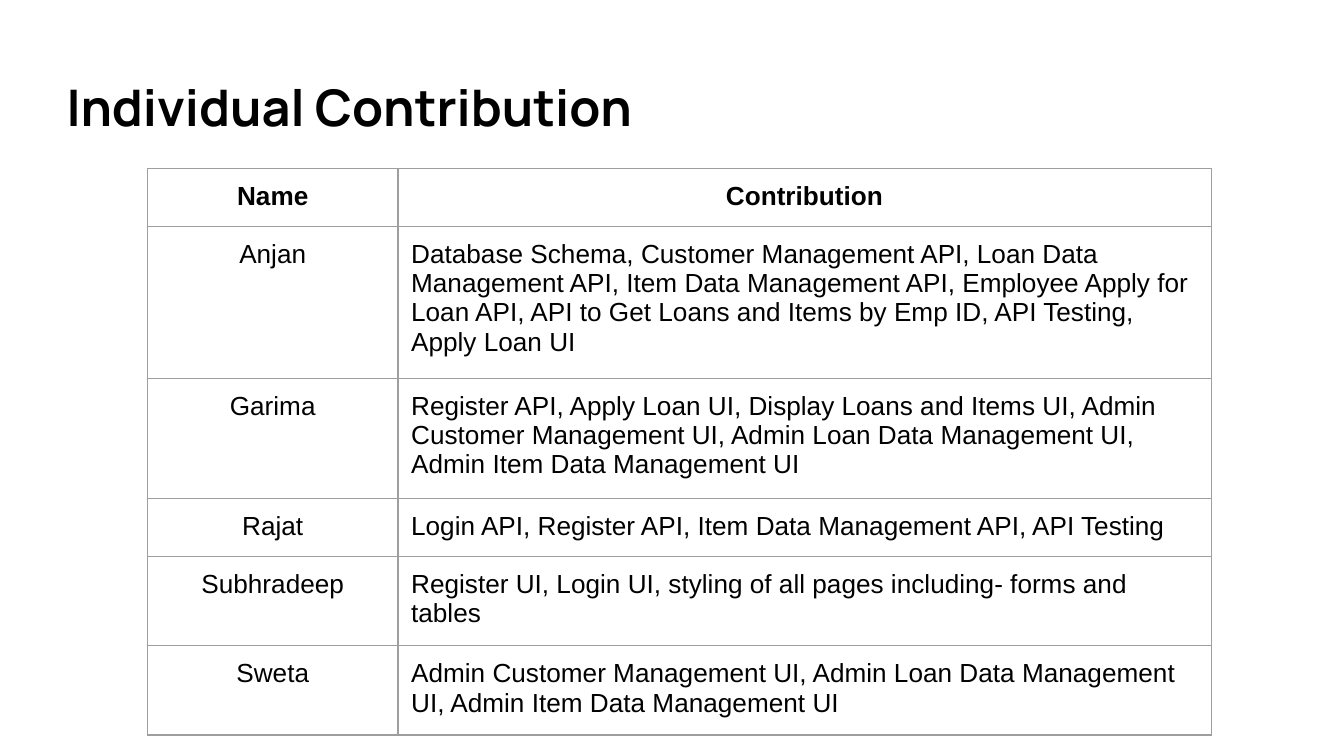
from typing import NamedTuple

from lxml.etree import SubElement
from pptx import Presentation
from pptx.dml.color import RGBColor
from pptx.enum.text import MSO_ANCHOR, PP_ALIGN
from pptx.oxml.ns import qn
from pptx.util import Cm, Pt

BLACK = "000000"
WHITE = "FFFFFF"
GRID_GREY = "9E9E9E"
INSET = Cm(0.25)
COLUMN_WIDTHS = (Cm(4.73), Cm(15.37))
BORDER_SIDES = ("a:lnL", "a:lnR", "a:lnT", "a:lnB")

TITLE_FORMAT = {"name": "Manrope", "size": Pt(27), "bold": True}
HEADER_FORMAT = {"name": "Arial", "size": Pt(14), "bold": True}
BODY_FORMAT = {**HEADER_FORMAT, "bold": False}
MARGINS = {f"margin_{side}": INSET for side in ("left", "right", "top", "bottom")}


class Contribution(NamedTuple):
    member: str
    work: str
    height: Cm


HEADER = Contribution("Name", "Contribution", Cm(1.07))
CONTRIBUTIONS = [
    Contribution(
        "Anjan",
        "Database Schema, Customer Management API, Loan Data Management API, "
        "Item Data Management API, Employee Apply for Loan API, "
        "API to Get Loans and Items by Emp ID, API Testing, Apply Loan UI",
        Cm(2.74),
    ),
    Contribution(
        "Garima",
        "Register API, Apply Loan UI, Display Loans and Items UI, "
        "Admin Customer Management UI, Admin Loan Data Management UI, "
        "Admin Item Data Management UI",
        Cm(2.17),
    ),
    Contribution(
        "Rajat",
        "Login API, Register API, Item Data Management API, API Testing",
        Cm(1.07),
    ),
    Contribution(
        "Subhradeep",
        "Register UI, Login UI, styling of all pages including- forms and tables",
        Cm(1.62),
    ),
    Contribution(
        "Sweta",
        "Admin Customer Management UI, Admin Loan Data Management UI, "
        "Admin Item Data Management UI",
        Cm(1.62),
    ),
]


def rgb(code: str) -> RGBColor:
    return RGBColor.from_string(code)


def set_attributes(target, values: dict) -> None:
    for attribute, value in values.items():
        setattr(target, attribute, value)


def write(paragraph, text: str, font_format: dict, alignment: PP_ALIGN) -> None:
    run = paragraph.add_run()
    run.text = text
    set_attributes(run.font, font_format)
    run.font.color.rgb = rgb(BLACK)
    paragraph.alignment = alignment


def add_borders(cell) -> None:
    """Line all four sides; must run before the fill, which comes later in tcPr."""
    properties = cell._tc.get_or_add_tcPr()
    for side in BORDER_SIDES:
        line = SubElement(properties, qn(side), w=str(Pt(0.75)))
        fill = SubElement(line, qn("a:solidFill"))
        SubElement(fill, qn("a:srgbClr"), val=GRID_GREY)


def add_title(slide, text: str) -> None:
    title = slide.shapes.add_textbox(Cm(1.01), Cm(1.19), Cm(23.67), Cm(1.73))
    frame = title.text_frame
    set_attributes(
        frame, {**MARGINS, "word_wrap": True, "vertical_anchor": MSO_ANCHOR.TOP}
    )
    write(frame.paragraphs[0], text, TITLE_FORMAT, PP_ALIGN.LEFT)


def add_contribution_table(slide, contributions: list[Contribution]) -> None:
    rows = [HEADER, *contributions]
    table = slide.shapes.add_table(
        len(rows), len(COLUMN_WIDTHS), Cm(2.79), Cm(3.18),
        sum(COLUMN_WIDTHS), sum(row.height for row in rows),
    ).table
    set_attributes(table, {"first_row": False, "horz_banding": False})
    for column, width in zip(table.columns, COLUMN_WIDTHS):
        column.width = width
    for row_index, row in enumerate(rows):
        table.rows[row_index].height = row.height
        is_header = row_index == 0
        font_format = HEADER_FORMAT if is_header else BODY_FORMAT
        work_alignment = PP_ALIGN.CENTER if is_header else PP_ALIGN.LEFT
        entries = ((row.member, PP_ALIGN.CENTER), (row.work, work_alignment))
        for column_index, (text, alignment) in enumerate(entries):
            cell = table.cell(row_index, column_index)
            set_attributes(cell, MARGINS)
            add_borders(cell)
            cell.fill.solid()
            cell.fill.fore_color.rgb = rgb(WHITE)
            write(cell.text_frame.paragraphs[0], text, font_format, alignment)


def main() -> None:
    presentation = Presentation()
    presentation.slide_width = Cm(25.4)
    presentation.slide_height = Cm(14.29)
    slide = presentation.slides.add_slide(presentation.slide_layouts[6])
    add_title(slide, "Individual Contribution")
    add_contribution_table(slide, CONTRIBUTIONS)
    presentation.save("out.pptx")


if __name__ == "__main__":
    main()
